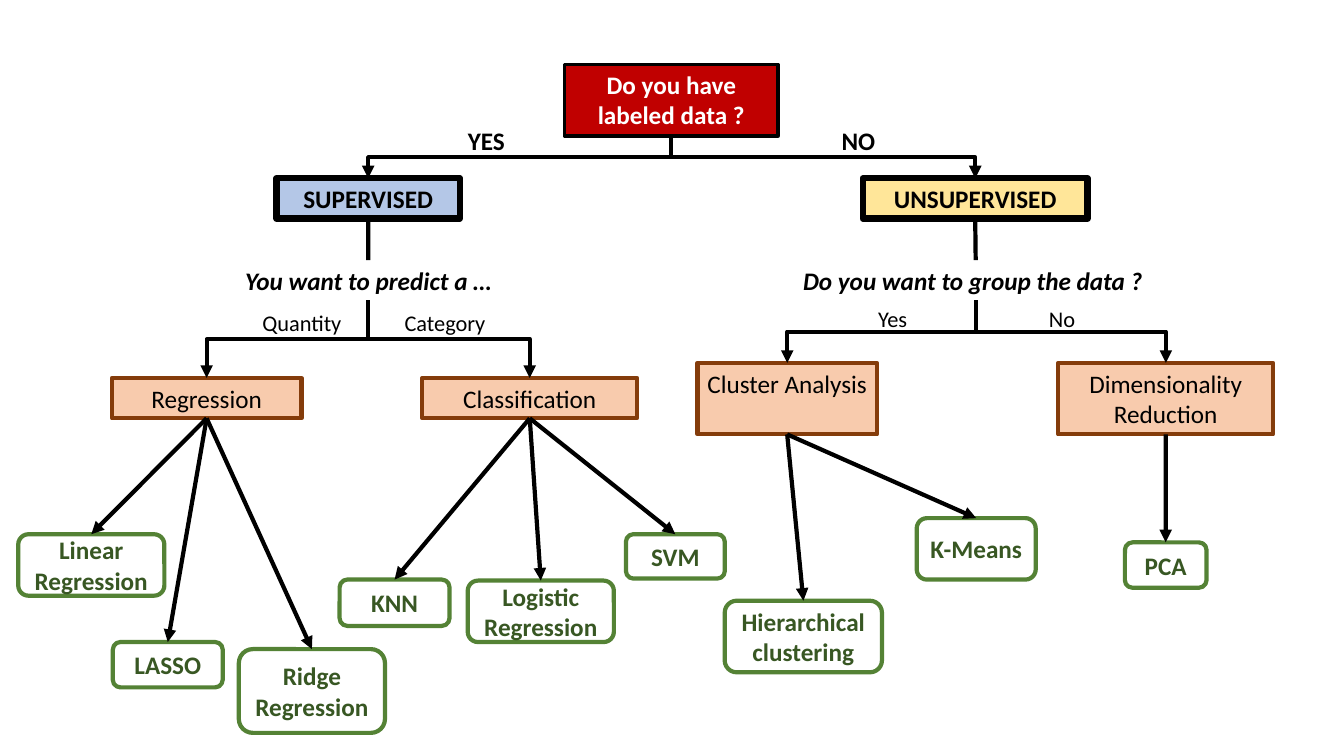
"""Build a decision tree slide for choosing a machine learning method."""
from dataclasses import dataclass
from typing import Optional

import pptx
import pptx.dml.color
import pptx.enum.shapes
import pptx.enum.text
import pptx.util
from lxml import etree
from pptx.oxml.ns import qn

Pt = pptx.util.Pt
SHAPE = pptx.enum.shapes.MSO_SHAPE
CONNECTOR = pptx.enum.shapes.MSO_CONNECTOR
BLACK = "000000"
TOP, BOTTOM = 0, 2


@dataclass(frozen=True)
class Style:
    fill: Optional[str] = None
    line: Optional[str] = None
    weight: float = 3
    color: str = BLACK
    size: float = 18
    bold: bool = False
    italic: bool = False
    rounded: bool = False


@dataclass(frozen=True)
class Node:
    text: str
    left: float
    top: float
    width: float
    height: float
    style: Style


@dataclass(frozen=True)
class Link:
    start: str
    end: str
    elbow: bool = False
    arrow: bool = True


ROOT = Style("C00000", BLACK, 2.25, "FFFFFF", bold=True)
SUPERVISED = Style("B4C7E7", BLACK, 4.5, bold=True)
UNSUPERVISED = Style("FFE699", BLACK, 4.5, bold=True)
QUESTION = Style("FFFFFF", bold=True, italic=True)
TASK = Style("F8CBAD", "843C0B")
METHOD = Style(None, "548235", color="385723", bold=True, rounded=True)
ANSWER = Style(bold=True)
SMALL_ANSWER = Style(size=16)

NODES = {
    "root": Node("Do you have labeled data ?", 403.2, 46.1, 152.6, 51.1, ROOT),
    "supervised": Node("SUPERVISED", 197.5, 127.4, 131, 28.8, SUPERVISED),
    "unsupervised": Node("UNSUPERVISED", 616.3, 127.4, 160.6, 28.8, UNSUPERVISED),
    "predict": Node("You want to predict a …", 159.1, 185.8, 208, 28.8, QUESTION),
    "group": Node("Do you want to group the data ? ", 555.1, 185.8, 283.7, 28.8, QUESTION),
    "regression": Node("Regression", 79.9, 270, 135.4, 28.8, TASK),
    "classification": Node("Classification", 301.7, 270, 153.4, 28.8, TASK),
    "cluster": Node("Cluster Analysis", 498.2, 259.2, 128.2, 51.1, TASK),
    "reduction": Node("Dimensionality Reduction", 756, 259.2, 153.4, 51.1, TASK),
    "linear": Node("Linear Regression", 13, 381.6, 104.4, 43.9, METHOD),
    "lasso": Node("LASSO", 80.6, 458.6, 78.5, 32.4, METHOD),
    "ridge": Node("Ridge Regression", 170.6, 463.7, 104.4, 59.8, METHOD),
    "knn": Node("KNN", 242.6, 414, 78.5, 33.1, METHOD),
    "logistic": Node("Logistic Regression", 334.1, 414.7, 104.4, 43.9, METHOD),
    "svm": Node("SVM", 447.1, 381.6, 70.6, 31.7, METHOD),
    "hierarchical": Node("Hierarchical clustering", 517.7, 429.1, 112.3, 51.1, METHOD),
    "kmeans": Node("K-Means", 654.8, 370.1, 85, 43.9, METHOD),
    "pca": Node("PCA", 803.5, 387.4, 58.3, 32.4, METHOD),
}

BRANCHES = {
    "root": ("supervised", "unsupervised"),
    "predict": ("regression", "classification"),
    "group": ("cluster", "reduction"),
}
METHODS = {
    "regression": ("linear", "lasso", "ridge"),
    "classification": ("knn", "logistic", "svm"),
    "cluster": ("hierarchical", "kmeans"),
    "reduction": ("pca",),
}
LINKS = [
    Link("supervised", "predict", arrow=False),
    Link("unsupervised", "group", arrow=False),
    *(Link(a, b, elbow=True) for a, ends in BRANCHES.items() for b in ends),
    *(Link(a, b) for a, ends in METHODS.items() for b in ends),
]

ANSWERS = [
    Node("YES", 324, 85.7, 46.8, 28.8, ANSWER),
    Node("NO", 589.7, 85.7, 46.8, 28.8, ANSWER),
    Node("Quantity", 157.7, 217.4, 115.9, 26.6, SMALL_ANSWER),
    Node("Category", 259.9, 217.4, 115.9, 26.6, SMALL_ANSWER),
    Node("Yes", 579.6, 214.6, 115.9, 26.6, SMALL_ANSWER),
    Node("No", 700.6, 214.6, 115.9, 26.6, SMALL_ANSWER),
]


def rgb(value: str) -> pptx.dml.color.RGBColor:
    return pptx.dml.color.RGBColor.from_string(value)


def write(sp, node: Node) -> None:
    style = node.style
    tf = sp.text_frame
    tf.text = node.text
    tf.word_wrap = True
    if style.rounded:
        tf.vertical_anchor = pptx.enum.text.MSO_ANCHOR.MIDDLE
    else:
        tf.vertical_anchor = pptx.enum.text.MSO_ANCHOR.TOP
        tf.auto_size = pptx.enum.text.MSO_AUTO_SIZE.SHAPE_TO_FIT_TEXT
    p = tf.paragraphs[0]
    p.alignment = pptx.enum.text.PP_ALIGN.CENTER
    font = p.runs[0].font
    font.name = "Calibri"
    font.size = Pt(style.size)
    font.bold = style.bold
    font.italic = style.italic
    font.color.rgb = rgb(style.color)


def add_box(s, node: Node):
    style = node.style
    kind = SHAPE.ROUNDED_RECTANGLE if style.rounded else SHAPE.RECTANGLE
    sp = s.shapes.add_shape(
        kind, Pt(node.left), Pt(node.top), Pt(node.width), Pt(node.height))
    sp.shadow.inherit = False
    if style.fill:
        sp.fill.solid()
        sp.fill.fore_color.rgb = rgb(style.fill)
    else:
        sp.fill.background()
    if style.line:
        sp.line.color.rgb = rgb(style.line)
        sp.line.width = Pt(style.weight)
    else:
        sp.line.fill.background()
    write(sp, node)
    return sp


def add_answer(s, node: Node) -> None:
    sp = s.shapes.add_textbox(
        Pt(node.left), Pt(node.top), Pt(node.width), Pt(node.height))
    write(sp, node)


def turn_elbow(cxn) -> None:
    dx, dy = cxn.end_x - cxn.begin_x, cxn.end_y - cxn.begin_y
    mid_x, mid_y = (cxn.begin_x + cxn.end_x) // 2, (cxn.begin_y + cxn.end_y) // 2
    xfrm = cxn._element.spPr.find(qn("a:xfrm"))
    xfrm.attrib.clear()
    xfrm.set("rot", str((90 if dx < 0 else 270) * 60000))
    if dx > 0:
        xfrm.set("flipH", "1")
    cxn.width, cxn.height = dy, abs(dx)
    cxn.left, cxn.top = mid_x - dy // 2, mid_y - abs(dx) // 2


def add_link(s, link: Link, boxes: dict) -> None:
    kind = CONNECTOR.ELBOW if link.elbow else CONNECTOR.STRAIGHT
    cxn = s.shapes.add_connector(kind, 0, 0, 0, 0)
    cxn.begin_connect(boxes[link.start], BOTTOM)
    cxn.end_connect(boxes[link.end], TOP)
    if link.elbow:
        turn_elbow(cxn)
    cxn.line.color.rgb = rgb(BLACK)
    cxn.line.width = Pt(3)
    if link.arrow:
        etree.SubElement(cxn.line._get_or_add_ln(), qn("a:tailEnd"), type="triangle")
    etree.SubElement(cxn._element.spPr, qn("a:effectLst"))


prs = pptx.Presentation()
prs.slide_width, prs.slide_height = Pt(960), Pt(540)
s = prs.slides.add_slide(prs.slide_layouts[6])
boxes = {name: add_box(s, node) for name, node in NODES.items()}
for link in LINKS:
    add_link(s, link, boxes)
for answer in ANSWERS:
    add_answer(s, answer)
prs.save("out.pptx")
